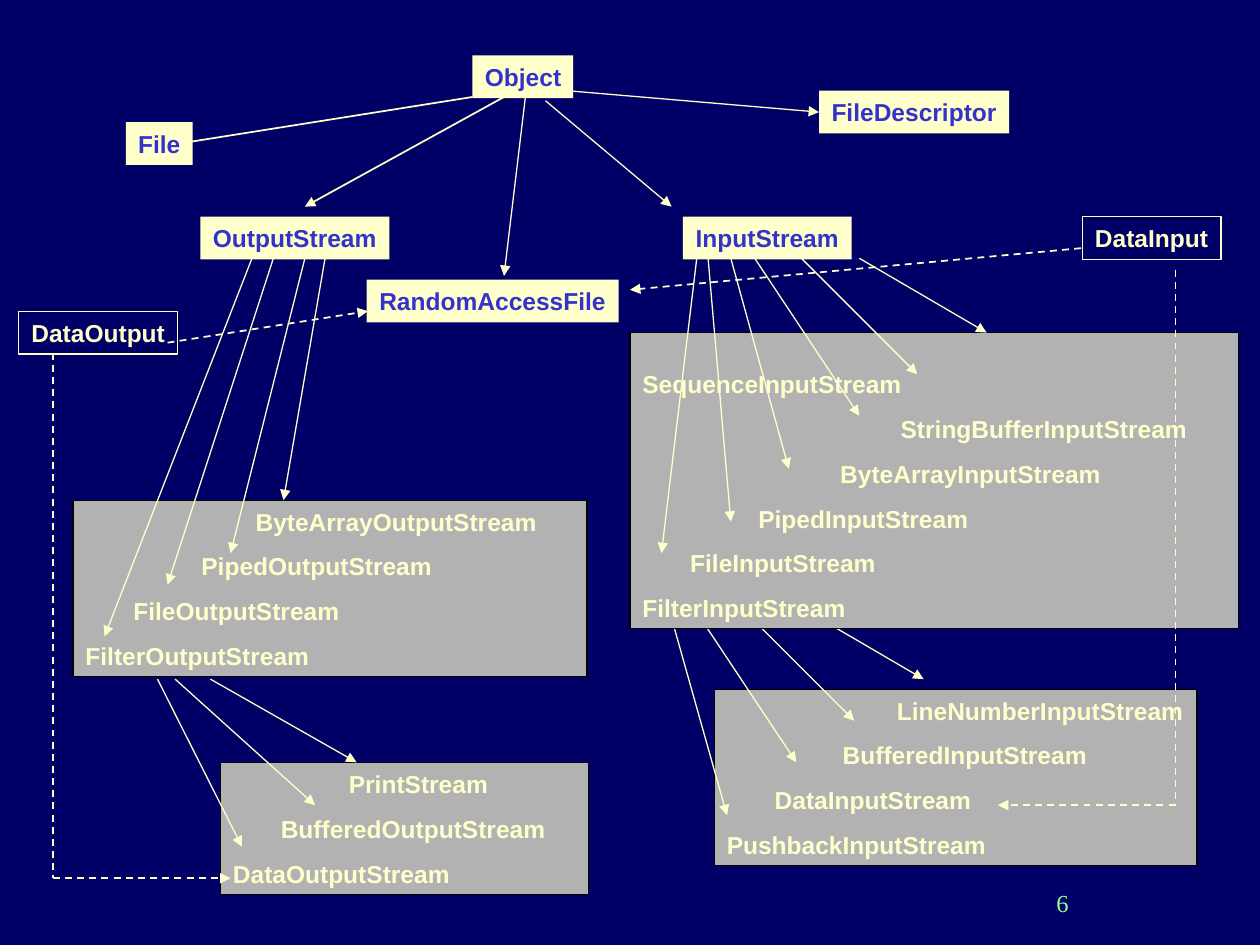
from lxml.etree import SubElement
from pptx import Presentation
from pptx.dml.color import RGBColor
from pptx.enum.dml import MSO_LINE
from pptx.enum.shapes import MSO_CONNECTOR, MSO_SHAPE
from pptx.enum.text import MSO_ANCHOR, PP_ALIGN
from pptx.oxml.ns import qn
from pptx.util import Inches, Pt

NAVY, CREAM, BLUE, GRAY, BLACK, GREEN = (
    "000066", "FFFFCC", "3333CC", "B2B2B2", "000000", "99FF99")
LABEL_HEIGHT = 0.34


def color(value):
    return RGBColor.from_string(value)


class Diagram:
    """Holds the current slide and the shared style of the class tree."""

    font_name = "Arial"
    font_size = Pt(14)
    row_gap = Pt(8.8)

    def __init__(self, page):
        self.page = page
        page.background.fill.solid()
        page.background.fill.fore_color.rgb = color(NAVY)

    def style_font(self, para, font_color, name=None, bold=True):
        para.font.name = name or self.font_name
        para.font.size = self.font_size
        para.font.bold = bold
        para.font.color.rgb = color(font_color)

    def rectangle(self, left, top, width, height, fill=None, line=None):
        box = self.page.shapes.add_shape(
            MSO_SHAPE.RECTANGLE, Inches(left), Inches(top), Inches(width), Inches(height))
        box.shadow.inherit = False
        if fill:
            box.fill.solid()
            box.fill.fore_color.rgb = color(fill)
        else:
            box.fill.background()
        if line:
            box.line.color.rgb = color(line)
            box.line.width = Pt(0.75)
        else:
            box.line.fill.background()
        return box

    def label(self, text, left, top, width, outlined=False, align=PP_ALIGN.CENTER):
        """Filled box for a class, outlined box for an interface."""
        fill, line, font_color = (None, CREAM, CREAM) if outlined else (CREAM, None, BLUE)
        box = self.rectangle(left, top, width, LABEL_HEIGHT, fill, line)
        box.text_frame.word_wrap = False
        para = box.text_frame.paragraphs[0]
        para.text = text
        para.alignment = align
        self.style_font(para, font_color)

    def panel(self, left, top, width, height, rows):
        """Gray box of subclasses; each row is a name and its indent in inches."""
        box = self.rectangle(left, top, width, height, GRAY, BLACK)
        frame = box.text_frame
        frame.word_wrap = True
        frame.vertical_anchor = MSO_ANCHOR.BOTTOM
        frame.margin_right = Inches(0.05)
        for index, (name, indent) in enumerate(rows):
            para = frame.add_paragraph() if index else frame.paragraphs[0]
            para.text = name
            para.alignment = PP_ALIGN.LEFT
            if index:
                para.space_before = self.row_gap
            para._p.get_or_add_pPr().set("marL", str(Inches(indent)))
            self.style_font(para, CREAM)

    def line(self, start, end, width=0.75, dashed=False, arrow="triangle"):
        link = self.page.shapes.add_connector(
            MSO_CONNECTOR.STRAIGHT, *(Inches(value) for value in (*start, *end)))
        link.line.color.rgb = color(CREAM)
        link.line.width = Pt(width)
        if dashed:
            link.line.dash_style = MSO_LINE.DASH
        if arrow:
            SubElement(link.line._get_or_add_ln(), qn("a:tailEnd"), type=arrow)
        SubElement(link._element.spPr, qn("a:effectLst"))

    def fan(self, top, links):
        """Arrows leaving one class at the same height."""
        for start_x, end in links:
            self.line((start_x, top), end)

    def dashed_path(self, *points):
        for index in range(1, len(points)):
            is_last = index == len(points) - 1
            self.line(points[index - 1], points[index], 1, True,
                      "triangle" if is_last else None)

    def page_number(self, text, left, top, width, height):
        box = self.page.shapes.add_textbox(
            Inches(left), Inches(top), Inches(width), Inches(height))
        box.text_frame.word_wrap = True
        para = box.text_frame.paragraphs[0]
        para.text = text
        para.alignment = PP_ALIGN.RIGHT
        self.style_font(para, GREEN, "Times New Roman", False)


def main():
    deck = Presentation()
    deck.slide_width, deck.slide_height = Inches(10), Inches(7.5)
    diagram = Diagram(deck.slides.add_slide(deck.slide_layouts[6]))

    diagram.page_number("6", 6.5, 7, 2.08, 0.5)

    # Object and its direct subclasses
    diagram.label("Object", 3.75, 0.44, 0.8, align=PP_ALIGN.LEFT)
    diagram.line((3.75, 0.77), (1.42, 1.14), 1, arrow="stealth")
    diagram.line((4, 0.77), (2.42, 1.64), 1)
    diagram.line((4.17, 0.77), (4, 2.19))
    diagram.line((4.33, 0.8), (5.33, 1.64))
    diagram.line((4.5, 0.72), (6.5, 0.89))
    for name, left, top, width in (
            ("File", 1, 0.97, 0.53),
            ("OutputStream", 1.59, 1.72, 1.5),
            ("RandomAccessFile", 2.91, 2.22, 2),
            ("InputStream", 5.42, 1.72, 1.34),
            ("FileDescriptor", 6.5, 0.72, 1.51)):
        diagram.label(name, left, top, width)

    diagram.label("DataInput", 8.59, 1.72, 1.1, outlined=True)
    diagram.label("DataOutput", 0.15, 2.47, 1.26, outlined=True)

    # Filter streams
    diagram.panel(5.67, 5.47, 3.83, 1.4, (
        ("LineNumberInputStream", 1.35), ("BufferedInputStream", 0.92),
        ("DataInputStream", 0.38), ("PushbackInputStream", 0)))
    diagram.fan(4.8, ((6.32, (7.33, 5.39)), (5.86, (6.78, 5.72)),
                      (5.49, (6.32, 6.05)), (5.3, (5.77, 6.47))))
    diagram.panel(1.75, 6.05, 2.92, 1.05, (
        ("PrintStream", 0.92), ("BufferedOutputStream", 0.38), ("DataOutputStream", 0)))
    diagram.fan(5.39, ((1.67, (2.83, 6.05)), (1.39, (2.5, 6.39)), (1.25, (1.92, 6.72))))

    # Output and input streams
    diagram.panel(0.58, 3.97, 4.08, 1.4, (
        ("ByteArrayOutputStream", 1.35), ("PipedOutputStream", 0.92),
        ("FileOutputStream", 0.38), ("FilterOutputStream", 0)))
    diagram.fan(2.05, ((2.58, (2.25, 3.97)), (2.42, (1.83, 4.39)),
                       (2.17, (1.33, 4.64)), (2, (0.83, 5.05))))
    diagram.panel(5, 2.64, 4.83, 2.35, (
        ("SequenceInputStream", 0), ("StringBufferInputStream", 2.05),
        ("ByteArrayInputStream", 1.57), ("PipedInputStream", 0.92),
        ("FileInputStream", 0.38), ("FilterInputStream", 0)))
    diagram.fan(2.05, ((6.82, (7.83, 2.64)), (6.36, (7.28, 2.97)), (5.99, (6.82, 3.3)),
                       (5.8, (6.26, 3.72)), (5.62, (5.8, 4.14)), (5.53, (5.25, 4.39))))

    # Interfaces and the classes that implement them
    diagram.dashed_path((8.58, 1.97), (5, 2.3))
    diagram.dashed_path((1.33, 2.72), (2.92, 2.47))
    diagram.dashed_path((0.42, 2.8), (0.42, 6.97), (1.83, 6.97))
    diagram.dashed_path((9.33, 2.14), (9.33, 6.39), (7.92, 6.39))

    deck.save("out.pptx")


if __name__ == "__main__":
    main()
